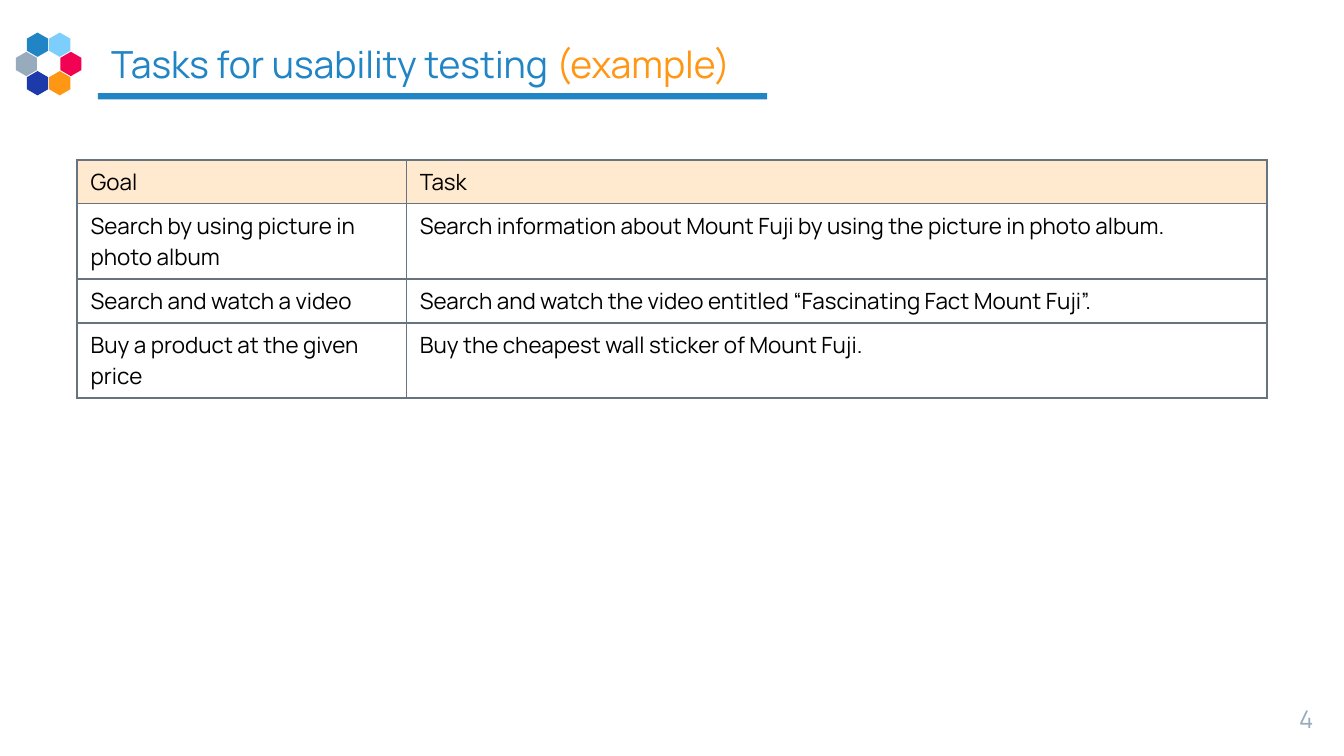
import math
from lxml import etree
from pptx import Presentation
from pptx.dml.color import RGBColor
from pptx.enum.shapes import MSO_SHAPE
from pptx.enum.text import MSO_ANCHOR, PP_ALIGN
from pptx.oxml.ns import qn
from pptx.util import Cm, Pt

RECTANGLE = MSO_SHAPE.RECTANGLE
MIDDLE = MSO_ANCHOR.MIDDLE
LEFT, RIGHT = PP_ALIGN.LEFT, PP_ALIGN.RIGHT
FONT = "Manrope"
COLORS = {
    "blue": "2185C5",
    "sky": "7ECEFD",
    "gray": "97ABBC",
    "red": "F20253",
    "orange": "FF9715",
    "navy": "1C3AA9",
    "black": "000000",
    "border": "677480",
    "header": "FFEAD0",
}


def add_run(paragraph, text, size, color):
    run = paragraph.add_run()
    run.text = text
    run.font.name = FONT
    run.font.size = Pt(size)
    run.font.color.rgb = RGBColor.from_string(COLORS[color])


def paint(shape, color):
    shape.shadow.inherit = False
    shape.fill.solid()
    shape.fill.fore_color.rgb = RGBColor.from_string(COLORS[color])
    shape.line.fill.background()


presentation = Presentation()
presentation.slide_width = Cm(25.4)
presentation.slide_height = Cm(14.29)
slide = presentation.slides.add_slide(presentation.slide_layouts[5])

underline = slide.shapes.add_shape(RECTANGLE, Cm(1.85), Cm(1.76), Cm(12.65), Cm(0.12))
paint(underline, "blue")

hexagon_ring = slide.shapes.add_group_shape()
ring_x, ring_y, ring_radius, hexagon_radius = 0.92, 1.21, 0.42, 0.23
for index, color in enumerate(["red", "orange", "navy", "gray", "blue", "sky"]):
    angle = math.radians(60 * index)
    center_x = ring_x + ring_radius * math.cos(angle)
    center_y = ring_y + ring_radius * math.sin(angle)
    corners = []
    for corner in range(6):
        turn = math.radians(60 * corner + 30)
        corners.append((Cm(center_x + hexagon_radius * math.cos(turn)),
                        Cm(center_y + hexagon_radius * math.sin(turn))))
    builder = hexagon_ring.shapes.build_freeform(*corners[0])
    builder.add_line_segments(corners[1:], close=True)
    paint(builder.convert_to_shape(), color)

title = slide.shapes.title
title.left, title.top, title.width, title.height = Cm(1.85), Cm(0.64), Cm(21.72), Cm(1.12)
page_number = slide.shapes.add_textbox(Cm(23.55), Cm(13.06), Cm(1.52), Cm(0.86))
for shape in (title, page_number):
    frame = shape.text_frame
    frame.word_wrap = True
    frame.margin_left = frame.margin_right = Cm(0.25)
    frame.margin_top = frame.margin_bottom = Cm(0.25)

title.text_frame.vertical_anchor = MIDDLE
paragraph = title.text_frame.paragraphs[0]
paragraph.alignment = LEFT
add_run(paragraph, "Tasks for usability testing ", 20, "blue")
add_run(paragraph, "(example)", 20, "orange")

paragraph = page_number.text_frame.paragraphs[0]
paragraph.alignment = RIGHT
add_run(paragraph, "4", 13, "gray")

tasks = [
    ("Goal", "Task"),
    ("Search by using picture in photo album",
     "Search information about Mount Fuji by using the picture in photo album."),
    ("Search and watch a video",
     "Search and watch the video entitled “Fascinating Fact Mount Fuji”."),
    ("Buy a product at the given price", "Buy the cheapest wall sticker of Mount Fuji."),
]
column_widths = [6.22, 16.27]
row_heights = [0.83, 1.42, 0.83, 1.42]
table = slide.shapes.add_table(len(tasks), 2, Cm(1.46), Cm(3.02),
                               Cm(sum(column_widths)), Cm(sum(row_heights))).table
table.first_row = False
table.horz_banding = False
for column, width in zip(table.columns, column_widths):
    column.width = Cm(width)
for row, height in zip(table.rows, row_heights):
    row.height = Cm(height)

for row_index, texts in enumerate(tasks):
    for column_index, text in enumerate(texts):
        cell = table.cell(row_index, column_index)
        add_run(cell.text_frame.paragraphs[0], text, 12, "black")
        properties = cell._tc.get_or_add_tcPr()
        for side in ("a:lnL", "a:lnR", "a:lnT", "a:lnB"):
            border = etree.SubElement(properties, qn(side), w=str(Pt(1)))
            border_fill = etree.SubElement(border, qn("a:solidFill"))
            etree.SubElement(border_fill, qn("a:srgbClr"), val=COLORS["border"])
        if row_index == 0:
            cell.fill.solid()
            cell.fill.fore_color.rgb = RGBColor.from_string(COLORS["header"])
        else:
            cell.fill.background()

presentation.save("out.pptx")
